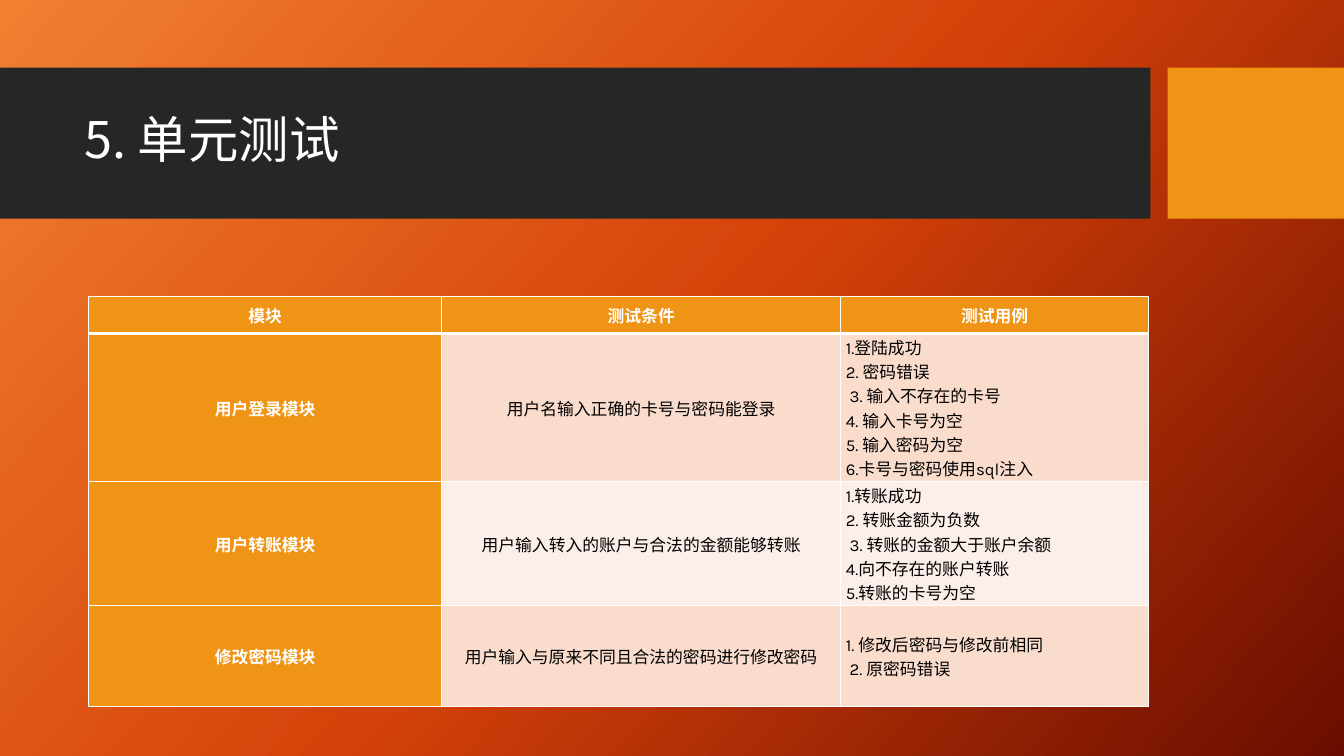
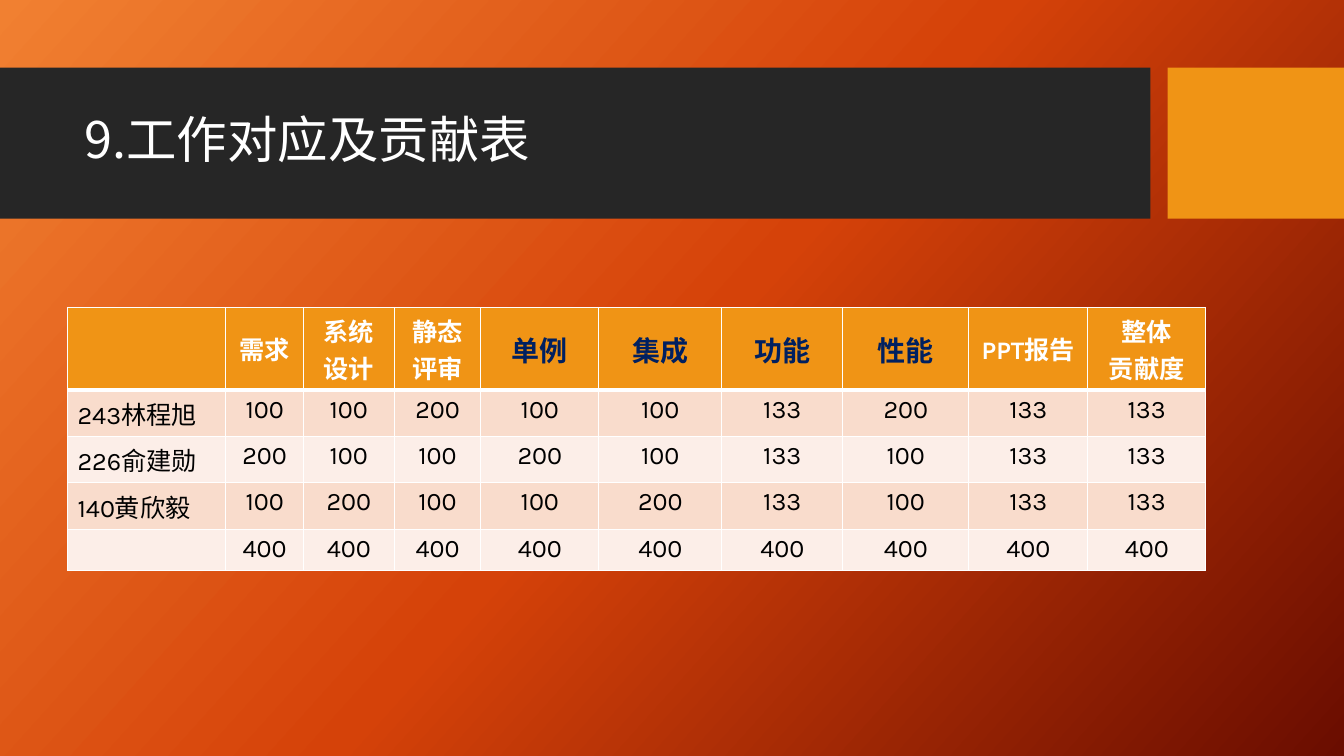
import copy

from lxml import etree
from pptx import Presentation
from pptx.dml.color import RGBColor
from pptx.enum import shapes, text
from pptx.oxml.ns import qn
from pptx.util import Inches, Pt


class Theme:
    gradient = [(0, "F18031"), (0.5, "D54209"), (1, "6A0D00")]
    gradient_angle = 318
    band = "262626"
    accent = "F09415"
    stripes = ["F9DCCC", "FCEEE8"]
    white = "FFFFFF"
    black = "000000"
    navy = "002060"
    latin = "Karla"
    cjk = "Noto Sans CJK SC"
    title_size = 36
    case_size = 12
    score_size = 18
    score_strong_size = 20
    border = 1
    header_border = 3


def add_titled_slide(title):
    slide = prs.slides.add_slide(prs.slide_layouts[6])
    for left, width, color in [(0, 11.41, Theme.band), (11.58, 1.75, Theme.accent)]:
        sp = slide.shapes.add_shape(shapes.MSO_SHAPE.RECTANGLE, Inches(left),
                                    Inches(0.67), Inches(width), Inches(1.5))
        sp.shadow.inherit = False
        sp.fill.solid()
        sp.fill.fore_color.rgb = RGBColor.from_string(color)
        sp.line.fill.background()
    tf = slide.shapes.add_textbox(Inches(0.74), Inches(0.82),
                                  Inches(10.51), Inches(1.18)).text_frame
    tf.word_wrap = True
    tf.vertical_anchor = text.MSO_ANCHOR.MIDDLE
    p = tf.paragraphs[0]
    p.text = title
    p.line_spacing = 0.9
    p.font.size = Pt(Theme.title_size)
    p.font.name = Theme.cjk
    p.font.color.rgb = RGBColor.from_string(Theme.white)
    etree.SubElement(p.font._rPr, qn("a:ea"), typeface=Theme.cjk)
    return slide


def add_striped_table(slide, left, top, widths, heights, rows, size, left_col, first_col):
    """left_col is the column with left-aligned body text; first_col colours column 0 as a header."""
    table = slide.shapes.add_table(len(rows), len(widths), Inches(left), Inches(top),
                                   Inches(sum(widths)), Inches(sum(heights))).table
    table.first_col = first_col
    for column, width in zip(table.columns, widths):
        column.width = Inches(width)
    for row, height in zip(table.rows, heights):
        row.height = Inches(height)
    for i, row in enumerate(rows):
        for j, value in enumerate(row):
            cell = table.cell(i, j)
            heading = i == 0 or (first_col and j == 0)
            tcPr = cell._tc.get_or_add_tcPr()
            for side in "LRTB":
                thick = (i, side) in [(0, "B"), (1, "T")]
                weight = Theme.header_border if thick else Theme.border
                ln = etree.SubElement(tcPr, qn(f"a:ln{side}"), w=str(Pt(weight)))
                fill = etree.SubElement(ln, qn("a:solidFill"))
                etree.SubElement(fill, qn("a:srgbClr"), val=Theme.white)
            cell.fill.solid()
            cell.fill.fore_color.rgb = RGBColor.from_string(
                Theme.accent if heading else Theme.stripes[(i - 1) % 2])
            if i == 0:
                cell.vertical_anchor = text.MSO_ANCHOR.MIDDLE
            cell.text = value
            for p in cell.text_frame.paragraphs:
                if i == 0 or j != left_col:
                    p.alignment = text.PP_ALIGN.CENTER
                p.font.size = Pt(size)
                p.font.bold = heading
                p.font.name = Theme.latin
                p.font.color.rgb = RGBColor.from_string(
                    Theme.white if heading else Theme.black)
                etree.SubElement(p.font._rPr, qn("a:ea"), typeface=Theme.cjk)
    return table


prs = Presentation()
prs.slide_width, prs.slide_height = Inches(13.33), Inches(7.5)

# Shared gradient background on the master
master = prs.slide_master
background = master.background.fill
background.gradient()
background.gradient_angle = Theme.gradient_angle
first_stop = master.element.find(".//" + qn("p:bg")).find(".//" + qn("a:gs"))
first_stop.addnext(copy.deepcopy(first_stop))
for stop, (position, color) in zip(background.gradient_stops, Theme.gradient):
    stop.position = position
    stop.color.rgb = RGBColor.from_string(color)

# Unit tests
slide = add_titled_slide("5. 单元测试")
test_rows = [
    ["模块", "测试条件", "测试用例"],
    ["用户登录模块", "用户名输入正确的卡号与密码能登录",
     "1.登陆成功\n2. 密码错误\v 3. 输入不存在的卡号\n4. 输入卡号为空\n"
     "5. 输入密码为空\n6.卡号与密码使用sql注入"],
    ["用户转账模块", "用户输入转入的账户与合法的金额能够转账",
     "1.转账成功\n2. 转账金额为负数\v 3. 转账的金额大于账户余额\n"
     "4.向不存在的账户转账\n5.转账的卡号为空"],
    ["修改密码模块", "用户输入与原来不同且合法的密码进行修改密码",
     "1. 修改后密码与修改前相同\v 2. 原密码错误"],
]
tests = add_striped_table(slide, 0.88, 2.94, [3.5, 3.96, 3.05], [0.37, 1.47, 1.23, 1],
                          test_rows, Theme.case_size, left_col=2, first_col=True)
for cell in tests.iter_cells():
    cell.vertical_anchor = text.MSO_ANCHOR.MIDDLE
    cell.margin_left = cell.margin_right = Inches(0.01)
    cell.margin_top = cell.margin_bottom = Inches(0.01)
for i in range(1, len(test_rows)):
    tests.cell(i, 2).margin_left = Inches(0.05)

# Contributions
slide = add_titled_slide("9.工作对应及贡献表")
score_rows = [
    ["", "需求", "系统设计", "静态评审", "单例", "集成", "功能", "性能", "PPT报告", "整体\n贡献度"],
    ["243林程旭", "100", "100", "200", "100", "100", "133", "200", "133", "133"],
    ["226俞建勋", "200", "100", "100", "200", "100", "133", "100", "133", "133"],
    ["140黄欣毅", "100", "200", "100", "100", "200", "133", "100", "133", "133"],
    [""] + ["400"] * 9,
]
scores = add_striped_table(slide, 0.67, 3.05,
                           [1.57, 0.77, 0.9, 0.86, 1.17, 1.22, 1.2, 1.25, 1.18, 1.17],
                           [0.82, 0.46, 0.46, 0.46, 0.41],
                           score_rows, Theme.score_size, left_col=0, first_col=False)
for j in range(4, 8):
    p = scores.cell(0, j).text_frame.paragraphs[0]
    p.font.size = Pt(Theme.score_strong_size)
    p.font.name = Theme.cjk
    p.font.color.rgb = RGBColor.from_string(Theme.navy)

prs.save("out.pptx")
